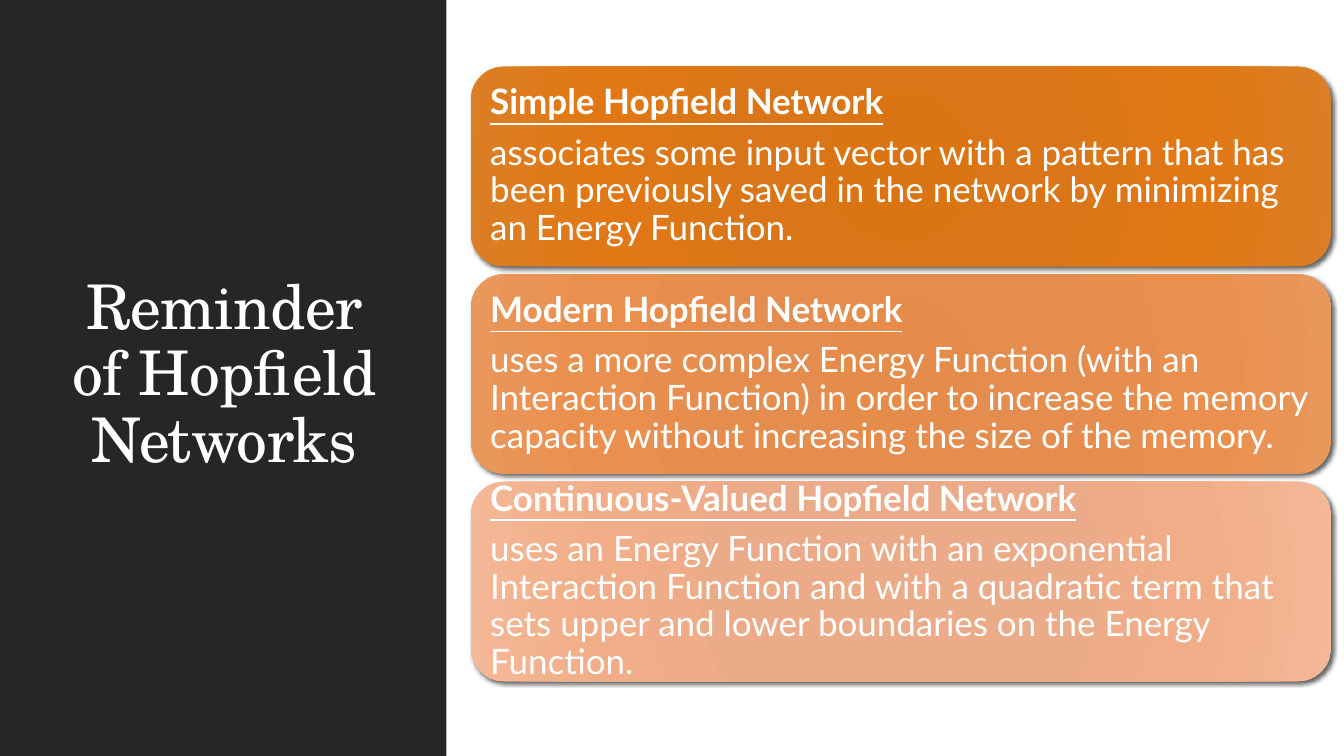
from lxml.etree import SubElement
from pptx import Presentation
from pptx.dml.color import RGBColor
from pptx.enum.shapes import MSO_SHAPE
from pptx.enum.text import MSO_ANCHOR, PP_ALIGN
from pptx.oxml.ns import qn
from pptx.util import Cm, Pt

COLORS = {"dark": "262626", "text": "FFFFFF", "shade": "000000"}
STOPS = (0, 34, 70, 100)
CARDS = [
    ("Simple Hopfield Network",
     "associates some input vector with a pattern that has been previously "
     "saved in the network by minimizing an Energy Function.",
     ("DB7514", "DA7618", "E17815", "DB7E26")),
    ("Modern Hopfield Network",
     "uses a more complex Energy Function (with an Interaction Function) in "
     "order to increase the memory capacity without increasing the size of "
     "the memory.",
     ("E58C4B", "E48D4F", "EA8F4D", "E9985D")),
    ("Continuous-Valued Hopfield Network",
     "uses an Energy Function with an exponential Interaction Function and "
     "with a quadratic term that sets upper and lower boundaries on the "
     "Energy Function.",
     ("EBA985", "EBAB88", "F1AD88", "F4B897")),
]
LEFT, TOP, WIDTH, HEIGHT, STEP = 11.86, 1.68, 21.69, 5.03, 5.23


def put(target, values):
    """Set each named attribute of the target."""
    for name, value in values.items():
        setattr(target, name, value)


class Deck:
    title = {"name": "TeX Gyre Schola", "size": Pt(44)}
    body = {"name": "Lato", "size": Pt(25), "bold": False, "underline": False}
    head = {**body, "bold": True, "underline": True}
    frame = {"word_wrap": True, "vertical_anchor": MSO_ANCHOR.MIDDLE}
    inset = {"margin_" + side: Cm(0.25)
             for side in ("left", "top", "right", "bottom")}

    def __init__(self, width, height):
        self.file = Presentation()
        put(self.file, {"slide_width": Cm(width), "slide_height": Cm(height)})
        self.slide = self.file.slides.add_slide(self.file.slide_layouts[6])

    def shape(self, kind, box):
        item = self.slide.shapes.add_shape(kind, *map(Cm, box))
        item.shadow.inherit = False
        item.line.fill.background()
        return item

    def panel(self, box, color):
        fill = self.shape(MSO_SHAPE.RECTANGLE, box).fill
        fill.solid()
        fill.fore_color.rgb = RGBColor.from_string(COLORS[color])

    def label(self, para, text, font, **style):
        """Add a styled run to the paragraph."""
        run = para.add_run()
        run.text = text
        put(run.font, font)
        run.font.color.rgb = RGBColor.from_string(COLORS["text"])
        put(para, {"line_spacing": 0.9, **style})
        return run

    def heading(self, box, text):
        frame = self.slide.shapes.add_textbox(*map(Cm, box)).text_frame
        put(frame, self.frame)
        run = self.label(frame.paragraphs[0], text, self.title,
                         alignment=PP_ALIGN.CENTER)
        run.font._element.set("spc", "-50")

    def blend(self, item, colors):
        """Fill the shape with a circular gradient."""
        grad = SubElement(item._element.spPr, qn("a:gradFill"), rotWithShape="1")
        item._element.spPr.find(qn("a:prstGeom")).addnext(grad)
        stops = SubElement(grad, qn("a:gsLst"))
        for place, color in zip(STOPS, colors):
            stop = SubElement(stops, qn("a:gs"), pos=str(place * 1000))
            SubElement(stop, qn("a:srgbClr"), val=color)
        way = SubElement(grad, qn("a:path"), path="circle")
        SubElement(way, qn("a:fillToRect"), dict.fromkeys("ltrb", "100000"))

    def shade(self, item):
        """Give the shape a soft shadow to the lower right."""
        effect = item._element.spPr.find(qn("a:effectLst"))
        outer = SubElement(effect, qn("a:outerShdw"), blurRad=str(Pt(3)),
                           dist=str(Pt(2)), dir="2700000", rotWithShape="0")
        color = SubElement(outer, qn("a:srgbClr"), val=COLORS["shade"])
        SubElement(color, qn("a:alpha"), val="60000")

    def card(self, box, head, body, colors):
        item = self.shape(MSO_SHAPE.ROUNDED_RECTANGLE, box)
        self.blend(item, colors)
        self.shade(item)
        frame = item.text_frame
        put(frame, {**self.frame, **self.inset})
        style = {"alignment": PP_ALIGN.LEFT, "space_after": Pt(8.75)}
        self.label(frame.paragraphs[0], head, self.head, **style)
        self.label(frame.add_paragraph(), body, self.body, **style)


def main():
    deck = Deck(33.87, 19.05)
    deck.panel((0, 0, 11.25, 19.05), "dark")
    deck.heading((1.37, 1.45, 8.56, 16.03), "Reminder of Hopfield Networks")
    for row, (head, body, colors) in enumerate(CARDS):
        deck.card((LEFT, TOP + row * STEP, WIDTH, HEIGHT), head, body, colors)
    deck.file.save("out.pptx")


if __name__ == "__main__":
    main()
